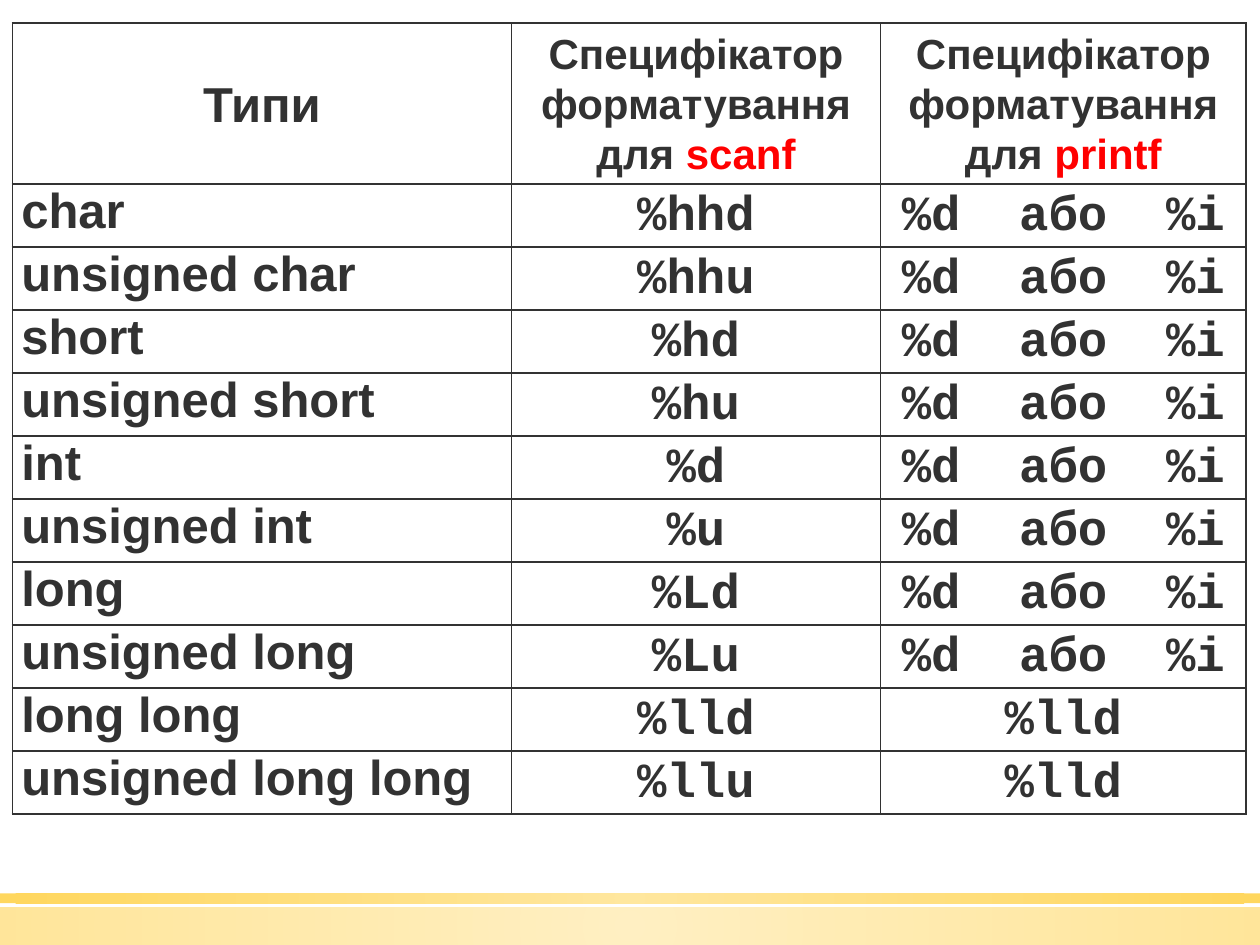
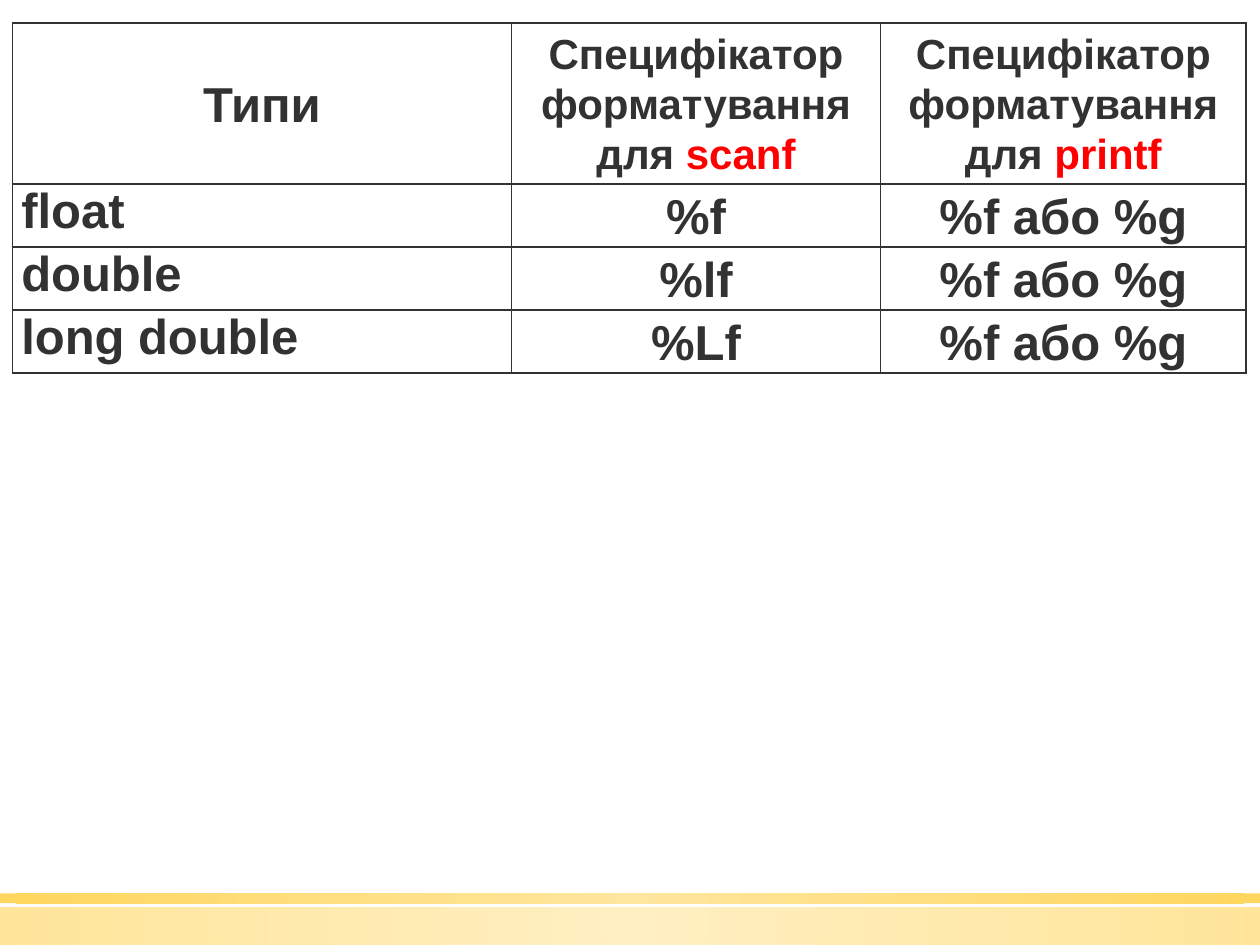
from dataclasses import dataclass

from lxml.etree import SubElement
from pptx import Presentation
from pptx.dml.color import RGBColor
from pptx.enum.shapes import MSO_SHAPE as Shape
from pptx.enum.text import MSO_ANCHOR as Anchor, PP_ALIGN as Align
from pptx.oxml import parse_xml
from pptx.oxml.ns import nsdecls, qn
from pptx.util import Cm, Pt


@dataclass(frozen=True)
class Theme:
    """Colours, fonts and type sizes shared by the slides."""

    ink: str = "323232"
    accent: str = "FF0000"
    band_centre: str = "FFE186"
    band_edge: str = "FFCD36"
    text_font: str = "Arial"
    code_font: str = "Courier New"
    body_size: int = 28
    header_size: int = 24
    line_spacing: float = 1.07
    paragraph_gap: int = 3
    border_width: int = 1


THEME = Theme()
SLIDE_WIDTH, SLIDE_HEIGHT = Cm(25.4), Cm(19.05)
TABLE_LEFT, TABLE_TOP = Cm(0.25), Cm(0.46)
COLUMN_WIDTHS = (Cm(10.06), Cm(7.44), Cm(7.37))
HEADER_HEIGHT, ROW_HEIGHT = Cm(3.25), Cm(1.27)
CELL_MARGIN = Cm(0.18)
FOOTER_BANDS = ((Cm(18.29), Cm(0.76), 50), (Cm(18.01), Cm(0.2), 80))

INTEGER_OUTPUT = "%d  або  %i"
INTEGER_TYPES = (
    ("char", "%hhd", INTEGER_OUTPUT),
    ("unsigned char", "%hhu", INTEGER_OUTPUT),
    ("short", "%hd", INTEGER_OUTPUT),
    ("unsigned short", "%hu", INTEGER_OUTPUT),
    ("int", "%d", INTEGER_OUTPUT),
    ("unsigned int", "%u", INTEGER_OUTPUT),
    ("long", "%Ld", INTEGER_OUTPUT),
    ("unsigned long", "%Lu", INTEGER_OUTPUT),
    ("long long", "%lld", "%lld"),
    ("unsigned long long", "%llu", "%lld"),
)
REAL_OUTPUT = "%f або %g"
REAL_TYPES = (
    ("float", "%f", REAL_OUTPUT),
    ("double", "%lf", REAL_OUTPUT),
    ("long double", "%Lf", REAL_OUTPUT),
)


def set_radial_gradient(shape, opacity):
    """Fill a shape with the translucent band gradient from its centre."""
    shape.fill.gradient()
    properties = shape.element.spPr
    stops = "".join(
        f'<a:gs pos="{position}"><a:srgbClr val="{color}">'
        f'<a:alpha val="{opacity * 1000}"/></a:srgbClr></a:gs>'
        for position, color in ((0, THEME.band_centre), (100000, THEME.band_edge))
    )
    gradient = parse_xml(
        f'<a:gradFill {nsdecls("a")} rotWithShape="1"><a:gsLst>{stops}</a:gsLst>'
        '<a:path path="circle"><a:fillToRect l="50000" t="50000" r="50000" b="50000"/>'
        "</a:path></a:gradFill>"
    )
    properties.replace(properties.find(qn("a:gradFill")), gradient)


def add_footer_bands(slide):
    """Draw the golden bands along the bottom of a slide."""
    for top, height, opacity in FOOTER_BANDS:
        band = slide.shapes.add_shape(Shape.RECTANGLE, 0, top, SLIDE_WIDTH, height)
        band.shadow.inherit = False
        band.line.fill.background()
        set_radial_gradient(band, opacity)


def set_borders(cell):
    """Give all four sides of a cell the same thin line."""
    properties = cell._tc.get_or_add_tcPr()
    for index, side in enumerate(("lnL", "lnR", "lnT", "lnB")):
        line = SubElement(properties, qn(f"a:{side}"), w=str(Pt(THEME.border_width)))
        fill = SubElement(line, qn("a:solidFill"))
        SubElement(fill, qn("a:srgbClr"), val=THEME.ink)
        properties.insert(index, line)


def add_run(paragraph, text, size, font, color):
    """Append one bold run to a paragraph."""
    run = paragraph.add_run()
    run.text = text
    run.font.size = Pt(size)
    run.font.name = font
    run.font.bold = True
    run.font.color.rgb = RGBColor.from_string(color)


def fill_cell(cell, text, size=THEME.body_size, font=THEME.text_font,
              centred=True, keyword=""):
    """Write and format a cell, with an optional highlighted keyword."""
    cell.margin_left = cell.margin_right = CELL_MARGIN
    cell.margin_top = cell.margin_bottom = 0
    cell.fill.background()
    set_borders(cell)
    paragraph = cell.text_frame.paragraphs[0]
    if centred:
        cell.vertical_anchor = Anchor.MIDDLE
        paragraph.alignment = Align.CENTER
        paragraph.line_spacing = THEME.line_spacing
        paragraph.space_before = paragraph.space_after = Pt(THEME.paragraph_gap)
    add_run(paragraph, text, size, font, THEME.ink)
    if keyword:
        add_run(paragraph, keyword, size, font, THEME.accent)


def add_specifier_table(slide, types, specifier_font):
    """Add the table of data types and their format specifiers."""
    height = HEADER_HEIGHT + ROW_HEIGHT * len(types)
    table = slide.shapes.add_table(
        len(types) + 1, len(COLUMN_WIDTHS), TABLE_LEFT, TABLE_TOP,
        sum(COLUMN_WIDTHS), height,
    ).table
    table.first_row = table.horz_banding = False
    for column, width in zip(table.columns, COLUMN_WIDTHS):
        column.width = width
    for index, row in enumerate(table.rows):
        row.height = ROW_HEIGHT if index else HEADER_HEIGHT

    fill_cell(table.cell(0, 0), "Типи")
    for column, function in enumerate(("scanf", "printf"), start=1):
        fill_cell(table.cell(0, column), "Специфікатор форматування для ",
                  size=THEME.header_size, keyword=function)
    for row, (type_name, *specifiers) in enumerate(types, start=1):
        fill_cell(table.cell(row, 0), type_name, centred=False)
        for column, specifier in enumerate(specifiers, start=1):
            fill_cell(table.cell(row, column), specifier, font=specifier_font)


def main():
    """Build the presentation on format specifiers."""
    presentation = Presentation()
    presentation.slide_width, presentation.slide_height = SLIDE_WIDTH, SLIDE_HEIGHT
    blank_layout = presentation.slide_layouts.get_by_name("Blank")
    for types, font in ((INTEGER_TYPES, THEME.code_font), (REAL_TYPES, THEME.text_font)):
        slide = presentation.slides.add_slide(blank_layout)
        add_footer_bands(slide)
        add_specifier_table(slide, types, font)
    presentation.save("out.pptx")


if __name__ == "__main__":
    main()
